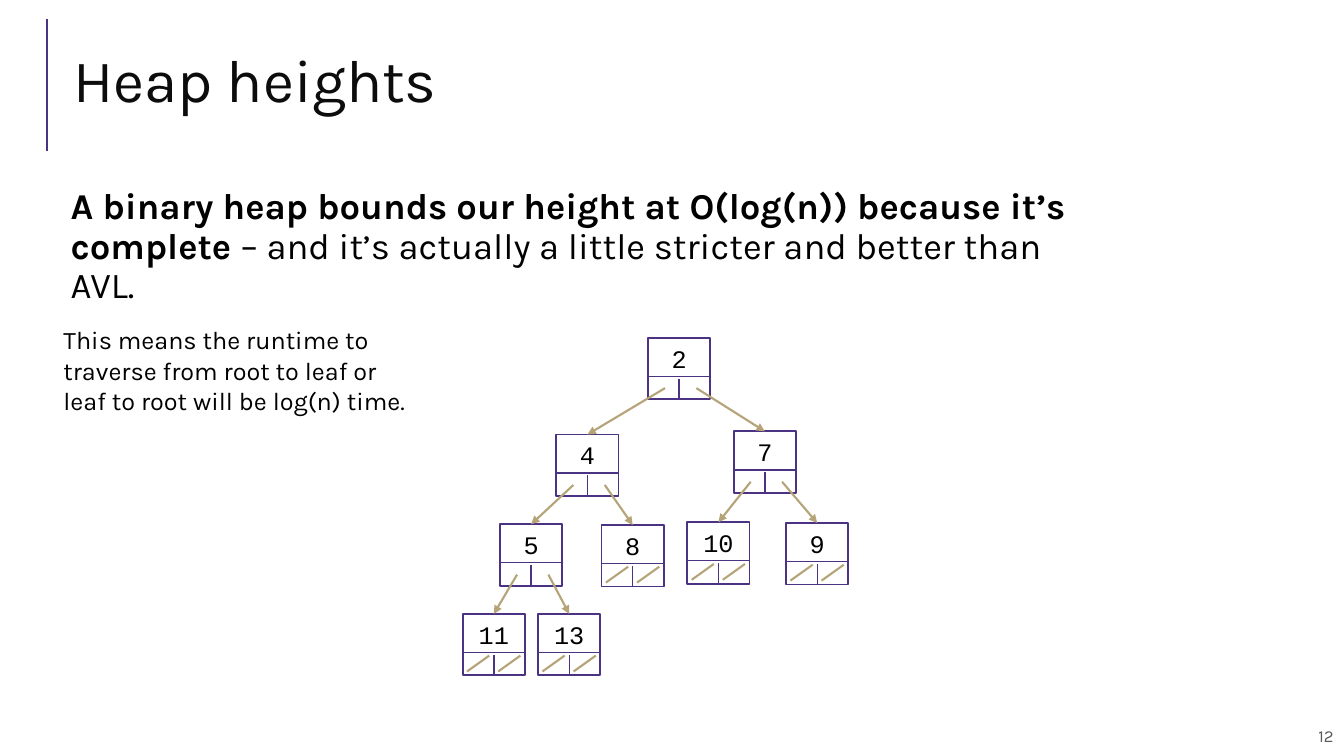
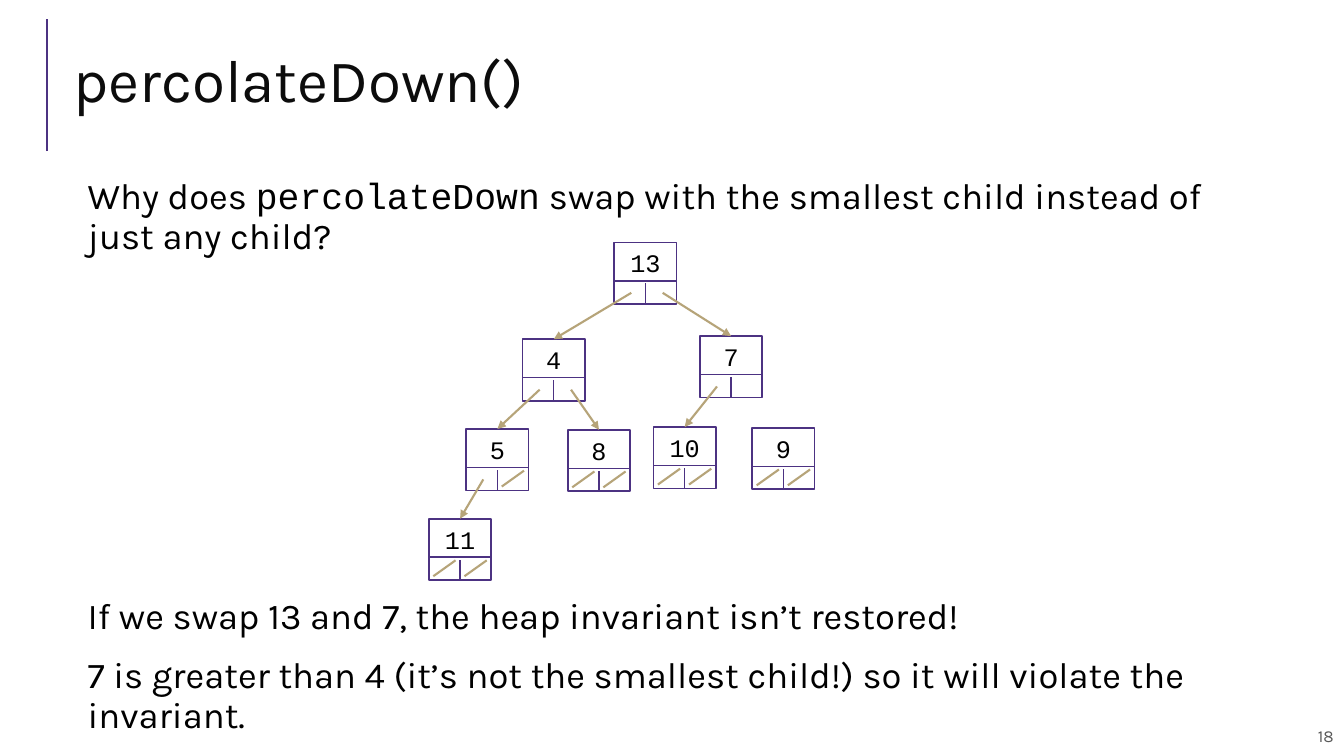
from dataclasses import dataclass

import pptx
import pptx.dml.color
import pptx.enum.shapes
import pptx.enum.text
import pptx.oxml.ns
import pptx.oxml.xmlchemy
import pptx.presentation
import pptx.shapes.autoshape
import pptx.shapes.connector
import pptx.slide
import pptx.util
from pptx.util import Cm

HUES = {
    "ink": "000000",
    "title": "0C0C0C",
    "page": "595959",
    "edge": "4C3282",
    "link": "B6A479",
}
SANS = "Karla"
MONO = "Courier New"

WIDE, HIGH = 1.57, 1.55
SHELF = 0.97
HALF = WIDE / 2
PORTS = ((0.43, 1.27), (1.22, 1.27))
SLOTS = (
    (16.33, 8.51),
    (14.02, 10.95), (18.49, 10.87),
    (12.6, 13.21), (15.16, 13.23), (17.32, 13.16), (19.81, 13.18),
    (11.66, 15.47), (13.56, 15.47),
)


@dataclass(frozen=True)
class Run:
    text: str
    bold: bool | None = None
    face: str | None = None


@dataclass(frozen=True)
class Style:
    size: float
    hue: str = "ink"
    face: str = SANS
    lead: float | None = None
    gap: float = 0
    inset: tuple[float, float] = (0.25, 0.13)
    side: pptx.enum.text.PP_ALIGN = pptx.enum.text.PP_ALIGN.LEFT
    anchor: pptx.enum.text.MSO_ANCHOR = pptx.enum.text.MSO_ANCHOR.TOP


@dataclass(frozen=True)
class Block:
    box: tuple[float, float, float, float]
    style: Style
    paras: tuple[tuple[Run, ...], ...]


@dataclass(frozen=True)
class Heap:
    keys: tuple[int, ...]
    shift: tuple[float, float] = (0, 0)
    cut: tuple[int, ...] = ()


@dataclass(frozen=True)
class Page:
    title: str
    number: str
    blocks: tuple[Block, ...]
    heap: Heap


MIDDLE = pptx.enum.text.MSO_ANCHOR.MIDDLE
HEAD = Style(43, "title", lead=0.8, anchor=MIDDLE)
FOOT = Style(12, "page", inset=(0.25, 0.25), anchor=MIDDLE,
             side=pptx.enum.text.PP_ALIGN.RIGHT)
BODY = Style(26, lead=0.9, inset=(0.13, 0.13))
CLOSE = Style(26, lead=0.9, gap=14, inset=(0.25, 0.25))
NOTE = Style(18)
KEY = Style(18, face=MONO, inset=(0, 0.13),
            side=pptx.enum.text.PP_ALIGN.CENTER)

PAGES = (
    Page("Heap heights", "12", (
        Block((1.65, 4.62, 26.04, 2.82), BODY, ((
            Run("A binary heap bounds our height at O(log(n)) because "
                "it’s complete ", bold=True),
            Run("– and it’s actually a little stricter and better than AVL."),
        ),)),
        Block((1.35, 8.05, 9.3, 2.57), NOTE, ((
            Run("This means the runtime to traverse from root to leaf or "
                "leaf to root will be log(n) time."),
        ),)),
    ), Heap((2, 4, 7, 5, 8, 10, 9, 11, 13))),
    Page("percolateDown()", "18", (
        Block((2.08, 4.37, 28.83, 2.26), BODY, ((
            Run("Why does ", face=SANS),
            Run("percolateDown", face=MONO),
            Run(" swap with the smallest child instead of just any child?",
                face=SANS),
        ),)),
        Block((1.96, 14.83, 30.35, 3.02), CLOSE, (
            (Run("If we swap 13 and 7, the heap invariant isn’t restored!"),),
            (Run("7 is greater than 4 (it’s not the smallest child!) so it "
                 "will violate the invariant."),),
        )),
    ), Heap((13, 4, 7, 5, 8, 10, 9, 11), shift=(-0.85, -2.4), cut=(6,))),
)


def paint(name: str) -> pptx.dml.color.RGBColor:
    return pptx.dml.color.RGBColor.from_string(HUES[name])


def write(shape: pptx.shapes.autoshape.Shape, style: Style,
          paras: tuple[tuple[Run, ...], ...]) -> None:
    frame = shape.text_frame
    frame.word_wrap = True
    frame.vertical_anchor = style.anchor
    frame.margin_left = frame.margin_right = Cm(style.inset[0])
    frame.margin_top = frame.margin_bottom = Cm(style.inset[1])
    for spot, runs in enumerate(paras):
        para = frame.add_paragraph() if spot else frame.paragraphs[0]
        para.alignment = style.side
        para.line_spacing = style.lead
        para.space_before = pptx.util.Pt(style.gap)
        para.font.size = pptx.util.Pt(style.size)
        para.font.color.rgb = paint(style.hue)
        if not any(run.face for run in runs):
            para.font.name = style.face
        for run in runs:
            part = para.add_run()
            part.text = run.text
            part.font.bold = run.bold
            if run.face:
                part.font.name = run.face


def place(slide: pptx.slide.Slide, block: Block) -> None:
    box = slide.shapes.add_textbox(*(Cm(side) for side in block.box))
    write(box, block.style, block.paras)


def rule(slide: pptx.slide.Slide, start: tuple[float, float],
         end: tuple[float, float], hue: str,
         width: float) -> pptx.shapes.connector.Connector:
    line = slide.shapes.add_connector(
        pptx.enum.shapes.MSO_CONNECTOR.STRAIGHT,
        *(Cm(side) for side in (*start, *end)))
    line.line.color.rgb = paint(hue)
    line.line.width = pptx.util.Pt(width)
    props = line._element.spPr
    props.append(pptx.oxml.xmlchemy.OxmlElement("a:effectLst"))
    return line


def point(line: pptx.shapes.connector.Connector) -> None:
    tip = pptx.oxml.xmlchemy.OxmlElement("a:tailEnd")
    tip.set("type", "triangle")
    line._element.spPr.find(pptx.oxml.ns.qn("a:ln")).append(tip)


def node(slide: pptx.slide.Slide, left: float, top: float,
         key: int) -> pptx.shapes.autoshape.Shape:
    box = slide.shapes.add_shape(
        pptx.enum.shapes.MSO_SHAPE.RECTANGLE,
        Cm(left), Cm(top), Cm(WIDE), Cm(HIGH))
    box.shadow.inherit = False
    box.fill.background()
    box.line.color.rgb = paint("edge")
    box.line.width = pptx.util.Pt(1.25)
    write(box, KEY, ((Run(str(key)),),))
    shelf = top + SHELF
    mid = left + HALF
    rule(slide, (left, shelf), (left + WIDE, shelf), "edge", 1)
    rule(slide, (mid, top + HIGH), (mid, shelf + 0.06), "edge", 1)
    return box


def grow(slide: pptx.slide.Slide, heap: Heap) -> None:
    spots = [(x + heap.shift[0], y + heap.shift[1]) for x, y in SLOTS]
    boxes = [node(slide, *spot, key) for spot, key in zip(spots, heap.keys)]
    for index in range(len(boxes)):
        left, top = spots[index]
        for side, port in enumerate(PORTS):
            child = 2 * index + 1 + side
            if child in heap.cut:
                continue
            if child < len(boxes):
                x, y = spots[child]
                link = rule(slide, (left + port[0], top + port[1]),
                            (x + HALF, y), "link", 1.5)
                link.end_connect(boxes[child], 0)
                point(link)
            else:
                cell = left + side * HALF
                rule(slide, (cell + 0.67, top + 1.05),
                     (cell + 0.11, top + 1.45), "link", 1.5)


def build(deck: pptx.presentation.Presentation, page: Page) -> None:
    slide = deck.slides.add_slide(deck.slide_layouts[6])
    rule(slide, (1.19, 3.81), (1.19, 0.48), "edge", 1.5)
    place(slide, Block((21.97, 18.03, 11.89, 1.02), FOOT,
                       ((Run(page.number),),)))
    place(slide, Block((1.6, 0.74, 31.06, 2.82), HEAD,
                       ((Run(page.title),),)))
    for block in page.blocks:
        place(slide, block)
    grow(slide, page.heap)


def main() -> None:
    deck = pptx.Presentation()
    deck.slide_width = Cm(33.87)
    deck.slide_height = Cm(19.05)
    for page in PAGES:
        build(deck, page)
    deck.save("out.pptx")


if __name__ == "__main__":
    main()
